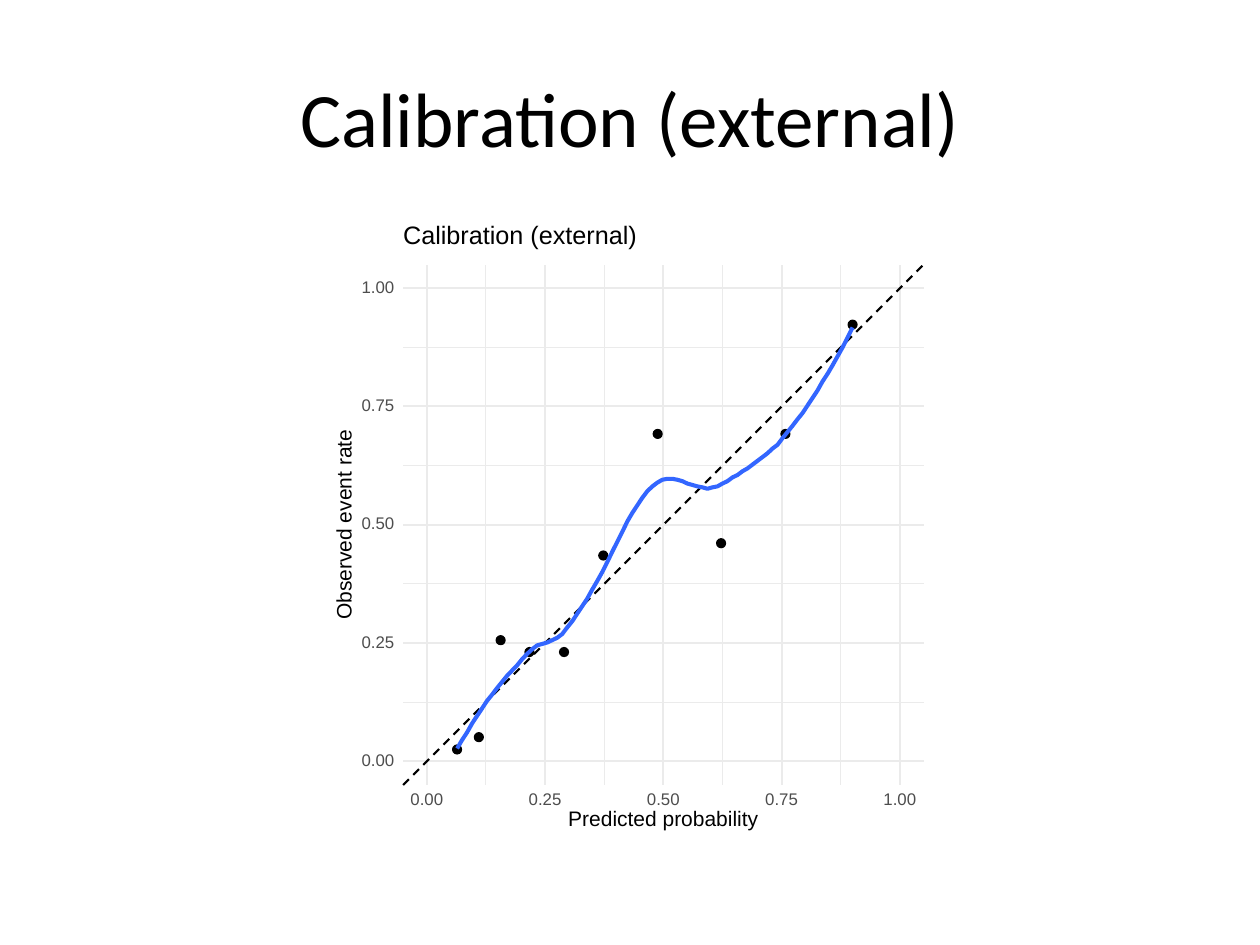
from lxml import etree
from pptx import Presentation
from pptx.dml.color import RGBColor
from pptx.enum import dml, shapes, text
from pptx.oxml.ns import qn
from pptx.util import Inches, Pt

BLACK, WHITE, GRID, TICK, BLUE = "000000", "FFFFFF", "EBEBEB", "4D4D4D", "3366FF"
TICK_SIZE, AXIS_SIZE, HEADING_SIZE = 9.6, 12, 14.4

# All data in percent: predicted probability, observed event rate
AXIS_MIN, AXIS_MAX = -5, 105
OBSERVED = [
    (6.4, 2.5), (11, 5.1), (15.6, 25.6), (21.7, 23.1), (29, 23.1),
    (37.3, 43.5), (48.8, 69.2), (62.2, 46.1), (75.8, 69.2), (90, 92.3),
]
SMOOTHED_RATES = [  # at evenly spaced predictions, first to last observed
    2.7, 4.5, 6.1, 8, 9.6, 11.2, 12.8, 14.1, 15.5, 16.8,
    18.1, 19.2, 20.3, 21.6, 22.7, 23.7, 24.5, 24.8, 25.1, 25.6,
    26.1, 26.9, 28.3, 29.6, 31.2, 32.8, 34.4, 36.3, 38.1, 40,
    42.1, 44.3, 46.4, 48.5, 50.7, 52.5, 54.1, 55.7, 57.1, 58.1,
    58.9, 59.5, 59.7, 59.7, 59.5, 59.2, 58.7, 58.4, 58.1, 57.9,
    57.6, 57.9, 58.1, 58.7, 59.2, 60, 60.5, 61.3, 61.9, 62.7,
    63.5, 64.3, 65.1, 66.1, 66.9, 68.3, 69.6, 70.9, 72.3, 73.6,
    75.2, 76.8, 78.4, 80.3, 81.9, 83.7, 85.6, 87.5, 89.6, 91.7,
]


def color(hex_code):
    return RGBColor.from_string(hex_code)


def style_line(line, hex_code, width):
    line.color.rgb = color(hex_code)
    line.width = Pt(width)


def add_filled(slide, preset, left, top, width, height, fill, line_width=0):
    shape = slide.shapes.add_shape(preset, left, top, width, height)
    shape.shadow.inherit = False
    shape.fill.solid()
    shape.fill.fore_color.rgb = color(fill)
    if line_width:
        style_line(shape.line, fill, line_width)
    else:
        shape.line.fill.background()
    return shape


def add_rule(slide, start, end, hex_code, width):
    rule = slide.shapes.add_connector(shapes.MSO_CONNECTOR.STRAIGHT, *start, *end)
    style_line(rule.line, hex_code, width)
    etree.SubElement(rule._element.spPr, qn("a:effectLst"))
    return rule


def add_label(slide, center_x, center_y, width, height, words, size, hex_code):
    label = slide.shapes.add_textbox(
        int(center_x - width / 2), int(center_y - height / 2), width, height)
    frame = label.text_frame
    frame.margin_left = frame.margin_right = frame.margin_top = frame.margin_bottom = 0
    frame.word_wrap = False
    frame.vertical_anchor = text.MSO_ANCHOR.MIDDLE
    frame.text = words
    paragraph = frame.paragraphs[0]
    paragraph.line_spacing = Pt(size)
    font = paragraph.runs[0].font
    font.name, font.size, font.color.rgb = "Arial", Pt(size), color(hex_code)
    return label


def add_title(slide, left, top, width, height):
    title = slide.shapes.add_textbox(left, top, width, height)
    frame = title.text_frame
    frame.word_wrap = True
    frame.vertical_anchor = text.MSO_ANCHOR.MIDDLE
    frame.text = "Calibration (external)"
    paragraph = frame.paragraphs[0]
    paragraph.alignment = text.PP_ALIGN.CENTER
    font = paragraph.runs[0].font
    font.name, font.size, font.color.rgb = "Calibri", Pt(44), color(BLACK)


def add_panel(slide, left, top, side):
    """Draw grid, tick labels, reference line, points and curve in a square."""
    def at(predicted, observed):
        scale = side / (AXIS_MAX - AXIS_MIN)
        return (int(left + (predicted - AXIS_MIN) * scale),
                int(top + (AXIS_MAX - observed) * scale))

    major = [0, 25, 50, 75, 100]
    minor = [value + 12.5 for value in major[:-1]]
    for values, width in ((minor, 0.58), (major, 1.16)):
        for value in values:
            add_rule(slide, at(AXIS_MIN, value), at(AXIS_MAX, value), GRID, width)
        for value in values:
            add_rule(slide, at(value, AXIS_MIN), at(value, AXIS_MAX), GRID, width)

    ideal = add_rule(slide, at(AXIS_MIN, AXIS_MIN), at(AXIS_MAX, AXIS_MAX), BLACK, 1.16)
    ideal.line.dash_style = dml.MSO_LINE.DASH

    dot = Inches(0.07)
    for observation in OBSERVED:
        x, y = at(*observation)
        add_filled(slide, shapes.MSO_SHAPE.OVAL, x - dot // 2, y - dot // 2,
                   dot, dot, BLACK, 0.77)

    first, last = OBSERVED[0][0], OBSERVED[-1][0]
    step = (last - first) / (len(SMOOTHED_RATES) - 1)
    curve_points = [at(first + i * step, rate) for i, rate in enumerate(SMOOTHED_RATES)]
    builder = slide.shapes.build_freeform(*curve_points[0])
    builder.add_line_segments(curve_points[1:], close=False)
    curve = builder.convert_to_shape()
    curve.shadow.inherit = False
    curve.fill.background()
    style_line(curve.line, BLUE, 2.33)

    tick_box = Inches(0.26), Inches(0.1)
    for value in major:
        x, y = at(value, value)
        words = f"{value / 100:.2f}"
        add_label(slide, left - Inches(0.2), y, *tick_box, words, TICK_SIZE, TICK)
        add_label(slide, x, top + side + Inches(0.12), *tick_box, words, TICK_SIZE, TICK)


def add_calibration_plot(slide, left, top, width, height):
    rectangle = shapes.MSO_SHAPE.RECTANGLE
    add_filled(slide, rectangle, left, top, width, height, WHITE, 0.75)
    figure_width = Inches(4.82)
    figure_left = left + (width - figure_width) // 2
    add_filled(slide, rectangle, figure_left, top, figure_width, height, WHITE)

    side = Inches(4.13)
    panel_left, panel_top = figure_left + Inches(0.61), top + Inches(0.35)
    add_panel(slide, panel_left, panel_top, side)

    middle_x, middle_y = panel_left + side // 2, panel_top + side // 2
    add_label(slide, middle_x, panel_top + side + Inches(0.28), Inches(1.51),
              Inches(0.15), "Predicted probability", AXIS_SIZE, BLACK)
    rate_title = add_label(slide, figure_left + Inches(0.15), middle_y, Inches(1.51),
                           Inches(0.12), "Observed event rate", AXIS_SIZE, BLACK)
    rate_title.rotation = 270
    heading_width = Inches(1.86)
    add_label(slide, panel_left + heading_width // 2, top + Inches(0.13), heading_width,
              Inches(0.19), "Calibration (external)", HEADING_SIZE, BLACK)


def main():
    deck = Presentation()
    deck.slide_width, deck.slide_height = Inches(10), Inches(7.5)
    slide = deck.slides.add_slide(deck.slide_layouts[6])
    add_title(slide, Inches(0.5), Inches(0.3), Inches(9), Inches(1.25))
    add_calibration_plot(slide, Inches(0.5), Inches(1.75), Inches(9), Inches(4.95))
    deck.save("out.pptx")


if __name__ == "__main__":
    main()
